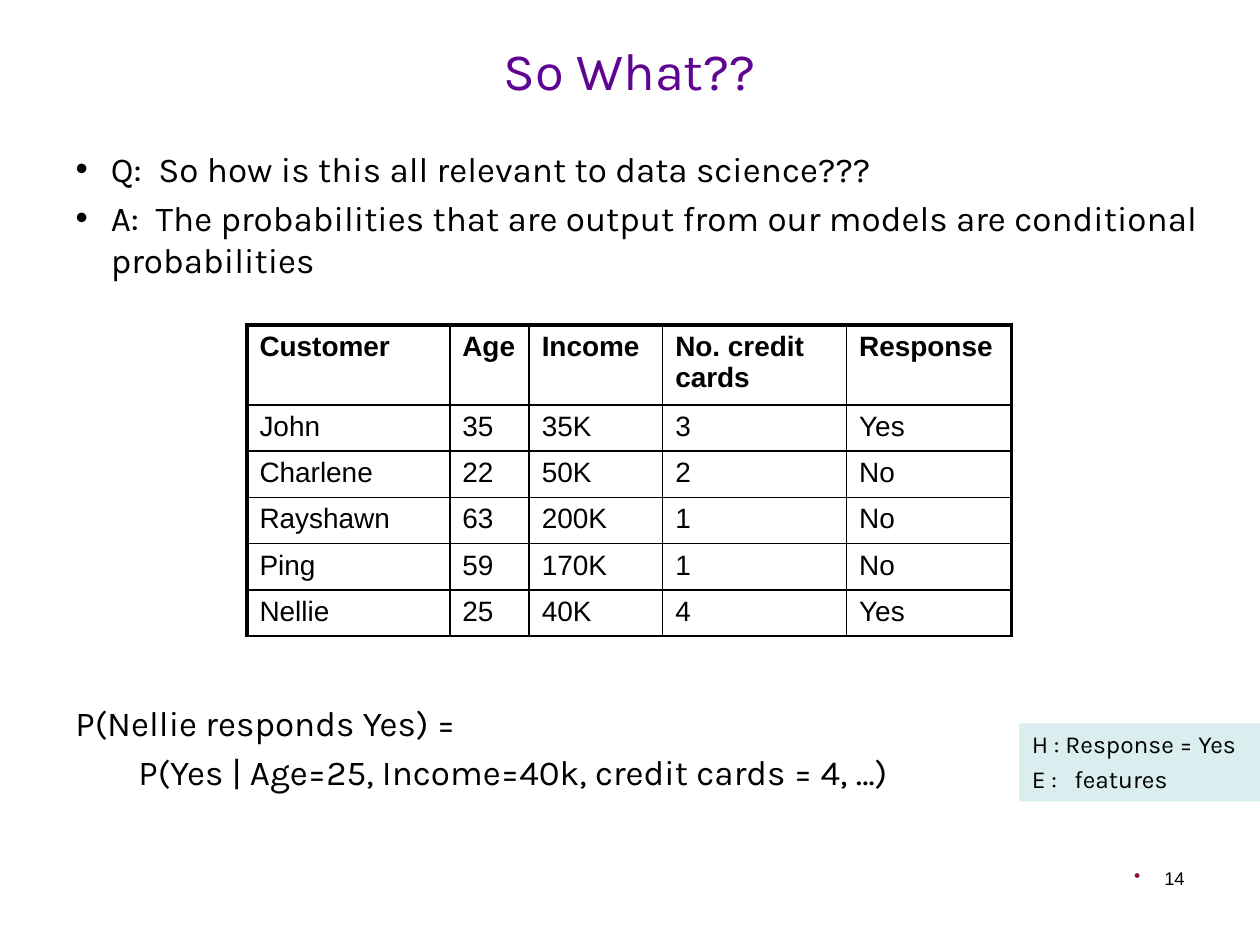
from lxml import etree
from pptx import Presentation
from pptx.dml.color import RGBColor
from pptx.enum import shapes, text
from pptx.oxml import ns
from pptx.util import Inches, Pt

COLORS = {"title": "600592", "ink": "000000", "note": "DAEDEF", "bullet": "8B0A3C"}


def write_lines(frame, lines, size, font="Karla", color="ink", bold=False):
    for index, line in enumerate(lines):
        paragraph = frame.add_paragraph() if index else frame.paragraphs[0]
        paragraph.text = line
        paragraph.space_before = Pt(size * 0.2)
        paragraph.font.size = Pt(size)
        paragraph.font.name = font
        paragraph.font.bold = bold
        paragraph.font.color.rgb = RGBColor.from_string(COLORS[color])


def place(shape, left, top, width, height):
    shape.left, shape.top = Inches(left), Inches(top)
    shape.width, shape.height = Inches(width), Inches(height)


presentation = Presentation()
presentation.slide_width = Inches(10)
presentation.slide_height = Inches(7.5)
slide = presentation.slides.add_slide(presentation.slide_layouts[1])

title = slide.shapes.title
place(title, 0.5, 0.15, 9, 0.8)
title.text_frame.vertical_anchor = text.MSO_ANCHOR.MIDDLE
title.text_frame.auto_size = text.MSO_AUTO_SIZE.NONE
write_lines(title.text_frame, ["So What??"], 30, color="title")
title.text_frame.paragraphs[0].space_before = Pt(0)
title.text_frame.paragraphs[0].alignment = text.PP_ALIGN.CENTER

body = slide.placeholders[1]
place(body, 0.5, 1.12, 9.19, 1.33)
body.text_frame.auto_size = text.MSO_AUTO_SIZE.NONE
write_lines(body.text_frame, [
    "Q:  So how is this all relevant to data science???",
    "A:  The probabilities that are output from our models are conditional probabilities",
], 20)
for paragraph in body.text_frame.paragraphs:
    properties = paragraph._p.get_or_add_pPr()
    properties.set("marL", str(Inches(0.28)))
    properties.set("indent", str(Inches(-0.28)))

page_number = slide.shapes.add_textbox(Inches(7.17), Inches(6.83), Inches(2.33), Inches(0.52))
page_number.text_frame.word_wrap = True
write_lines(page_number.text_frame, ["14"], 10.5, "Arial")
paragraph = page_number.text_frame.paragraphs[0]
paragraph.alignment = text.PP_ALIGN.RIGHT
properties = paragraph._p.get_or_add_pPr()
properties.set("marL", str(Inches(0.24)))
properties.set("indent", str(Inches(-0.24)))
bullet_color = etree.Element(ns.qn("a:buClr"))
etree.SubElement(bullet_color, ns.qn("a:srgbClr"), val=COLORS["bullet"])
bullet = etree.Element(ns.qn("a:buChar"), char="•")
position = len(properties.findall(ns.qn("a:spcBef")))
properties.insert(position, bullet_color)
properties.insert(position + 1, bullet)

customers = [
    ["Customer", "Age", "Income", "No. credit cards", "Response"],
    ["John", "35", "35K", "3", "Yes"],
    ["Charlene", "22", "50K", "2", "No"],
    ["Rayshawn", "63", "200K", "1", "No"],
    ["Ping", "59", "170K", "1", "No"],
    ["Nellie", "25", "40K", "4", "Yes"],
]
column_widths = [1.61, 0.63, 1.06, 1.46, 1.31]
row_heights = [0.6] + [0.35] * 5
table = slide.shapes.add_table(
    len(customers), len(column_widths), Inches(1.96), Inches(2.58),
    Inches(sum(column_widths)), Inches(sum(row_heights))).table
table.first_row = table.horz_banding = False
for column, width in zip(table.columns, column_widths):
    column.width = Inches(width)
for row, height in zip(table.rows, row_heights):
    row.height = Inches(height)

last_column = len(column_widths) - 1
for row_index, values in enumerate(customers):
    for column_index, value in enumerate(values):
        cell = table.cell(row_index, column_index)
        write_lines(cell.text_frame, [value], 16, "Arial", bold=row_index == 0)
        cell.fill.background()
        outer_edges = {"lnL": column_index == 0, "lnR": column_index == last_column,
                       "lnT": row_index == 0, "lnB": False}
        for order, (edge, is_outer) in enumerate(outer_edges.items()):
            border = etree.Element(ns.qn("a:" + edge), w=str(Pt(2.25 if is_outer else 1)))
            fill = etree.SubElement(border, ns.qn("a:solidFill"))
            etree.SubElement(fill, ns.qn("a:srgbClr"), val=COLORS["ink"])
            cell._tc.get_or_add_tcPr().insert(order, border)

formula = slide.shapes.add_textbox(Inches(0.5), Inches(5.52), Inches(7.55), Inches(0.84))
formula.text_frame.word_wrap = False
write_lines(formula.text_frame, [
    "P(Nellie responds Yes) =",
    "\tP(Yes | Age=25, Income=40k, credit cards = 4, …)",
], 20)

note = slide.shapes.add_shape(
    shapes.MSO_SHAPE.RECTANGLE, Inches(8.09), Inches(5.74), Inches(1.91), Inches(0.62))
note.shadow.inherit = False
note.fill.solid()
note.fill.fore_color.rgb = RGBColor.from_string(COLORS["note"])
note.line.fill.background()
note.text_frame.word_wrap = False
note.text_frame.vertical_anchor = text.MSO_ANCHOR.TOP
write_lines(note.text_frame, ["H : Response = Yes", "E :   features"], 14)
for paragraph in note.text_frame.paragraphs:
    paragraph.alignment = text.PP_ALIGN.LEFT

presentation.save("out.pptx")
